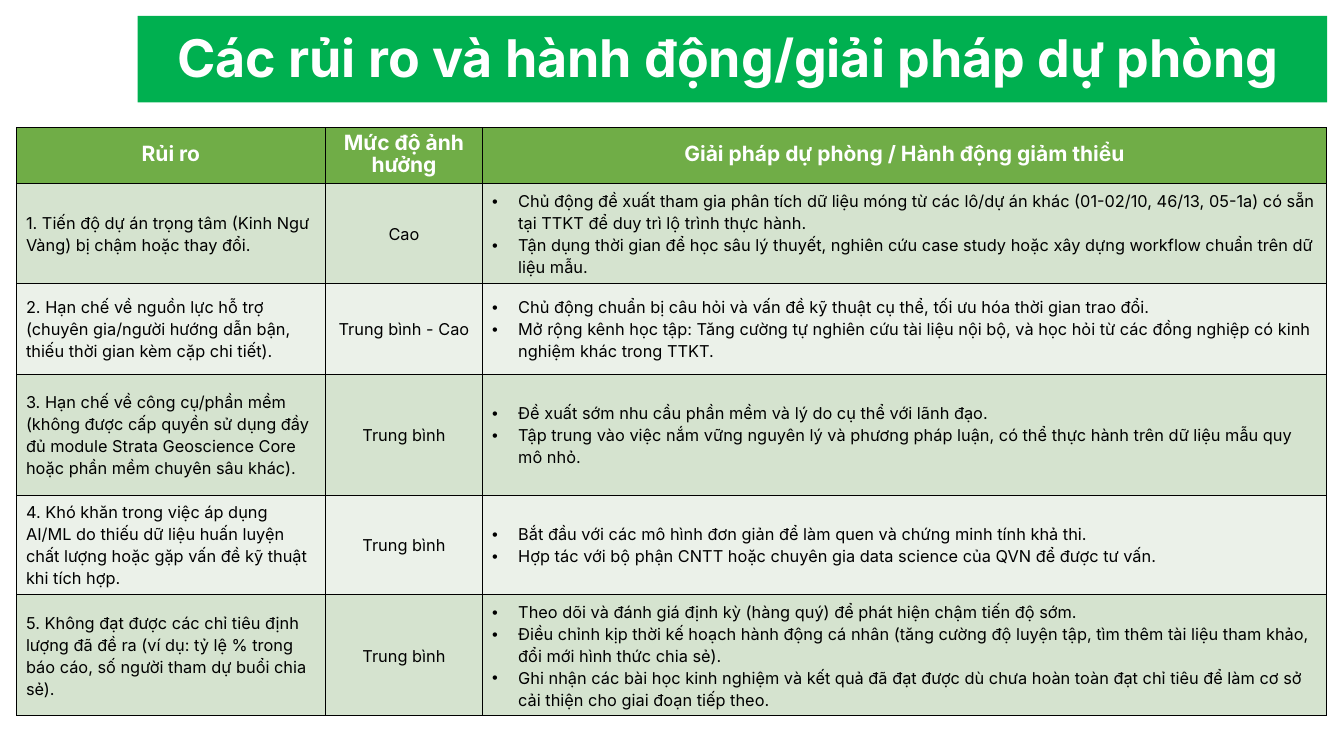
import dataclasses

import pptx
import pptx.dml.color
import pptx.enum.shapes
import pptx.enum.text
import pptx.oxml.ns
import pptx.util
from lxml import etree

Inches = pptx.util.Inches
Pt = pptx.util.Pt
ALIGN = pptx.enum.text.PP_ALIGN
ANCHOR = pptx.enum.text.MSO_ANCHOR
qn = pptx.oxml.ns.qn


@dataclasses.dataclass(frozen=True)
class Theme:
    font: str = "Inter"
    white: str = "FFFFFF"
    black: str = "000000"
    banner: str = "00B050"
    header: str = "70AD47"
    bands: tuple = ("D5E3CF", "EBF1E9")
    title_size: float = 44.5
    title_line: float = 55.5
    header_size: float = 18
    body_size: float = 14
    body_line: float = 18.8


TITLE = "Các rủi ro và hành động/giải pháp dự phòng"
HEADERS = ["Rủi ro", "Mức độ ảnh hưởng", "Giải pháp dự phòng / Hành động giảm thiểu"]
COLUMN_WIDTHS = [3.67, 1.88, 10.04]
ROW_HEIGHTS = [0.67, 1.18, 1.08, 1.44, 1.18, 1.44]
RISKS = [
    ("1. Tiến độ dự án trọng tâm (Kinh Ngư Vàng) bị chậm hoặc thay đổi.",
     "Cao",
     ["Chủ động đề xuất tham gia phân tích dữ liệu móng từ các lô/dự án khác "
      "(01-02/10, 46/13, 05-1a) có sẵn tại TTKT để duy trì lộ trình thực hành.",
      "Tận dụng thời gian để học sâu lý thuyết, nghiên cứu case study hoặc "
      "xây dựng workflow chuẩn trên dữ liệu mẫu."]),
    ("2. Hạn chế về nguồn lực hỗ trợ (chuyên gia/người hướng dẫn bận, "
     "thiếu thời gian kèm cặp chi tiết).",
     "Trung bình - Cao",
     ["Chủ động chuẩn bị câu hỏi và vấn đề kỹ thuật cụ thể, "
      "tối ưu hóa thời gian trao đổi.",
      "Mở rộng kênh học tập: Tăng cường tự nghiên cứu tài liệu nội bộ, "
      "và học hỏi từ các đồng nghiệp có kinh nghiệm khác trong TTKT."]),
    ("3. Hạn chế về công cụ/phần mềm (không được cấp quyền sử dụng đầy đủ "
     "module Strata Geoscience Core hoặc phần mềm chuyên sâu khác).",
     "Trung bình",
     ["Đề xuất sớm nhu cầu phần mềm và lý do cụ thể với lãnh đạo.",
      "Tập trung vào việc nắm vững nguyên lý và phương pháp luận, "
      "có thể thực hành trên dữ liệu mẫu quy mô nhỏ."]),
    ("4. Khó khăn trong việc áp dụng AI/ML do thiếu dữ liệu huấn luyện "
     "chất lượng hoặc gặp vấn đề kỹ thuật khi tích hợp.",
     "Trung bình",
     ["Bắt đầu với các mô hình đơn giản để làm quen và chứng minh tính khả thi.",
      "Hợp tác với bộ phận CNTT hoặc chuyên gia data science của QVN "
      "để được tư vấn."]),
    ("5. Không đạt được các chỉ tiêu định lượng đã đề ra (ví dụ: tỷ lệ % "
     "trong báo cáo, số người tham dự buổi chia sẻ).",
     "Trung bình",
     ["Theo dõi và đánh giá định kỳ (hàng quý) để phát hiện chậm tiến độ sớm.",
      "Điều chỉnh kịp thời kế hoạch hành động cá nhân (tăng cường độ luyện tập, "
      "tìm thêm tài liệu tham khảo, đổi mới hình thức chia sẻ).",
      "Ghi nhận các bài học kinh nghiệm và kết quả đã đạt được dù chưa "
      "hoàn toàn đạt chỉ tiêu để làm cơ sở cải thiện cho giai đoạn tiếp theo."]),
]


def rgb(color):
    return pptx.dml.color.RGBColor.from_string(color)


class Deck:
    def __init__(self, theme):
        self.theme = theme
        self.prs = pptx.Presentation()
        self.prs.slide_width, self.prs.slide_height = Inches(16), Inches(9)
        self.s = self.prs.slides.add_slide(self.prs.slide_layouts[5])

    def add_text(self, p, text, size, line, color, bold=False, align=ALIGN.LEFT):
        p.alignment = align
        p.line_spacing = Pt(line)
        p.space_before = p.space_after = Pt(0)
        r = p.add_run()
        r.text = text
        r.font.name, r.font.size, r.font.bold = self.theme.font, Pt(size), bold
        r.font.color.rgb = rgb(color)

    def bullet(self, p):
        pPr = p._p.get_or_add_pPr()
        pPr.set("marL", str(Inches(0.31)))
        pPr.set("indent", str(-Inches(0.31)))
        etree.SubElement(pPr, qn("a:buFont")).set("typeface", "Arial")
        etree.SubElement(pPr, qn("a:buChar")).set("char", "•")

    def title(self, text):
        """Place the title over its green band."""
        t = self.theme
        sp = self.s.shapes.title
        sp.left, sp.top = Inches(1.64), Inches(0.28)
        sp.width, sp.height = Inches(14.07), Inches(0.78)
        tf = sp.text_frame
        tf.auto_size = pptx.enum.text.MSO_AUTO_SIZE.NONE
        tf.word_wrap = False
        tf.vertical_anchor = ANCHOR.TOP
        tf.margin_left = tf.margin_right = tf.margin_top = tf.margin_bottom = 0
        self.add_text(tf.paragraphs[0], text, t.title_size, t.title_line, t.white,
                      True, ALIGN.CENTER)
        band = self.s.shapes.add_shape(
            pptx.enum.shapes.MSO_SHAPE.RECTANGLE,
            Inches(1.64), Inches(0.19), Inches(14.16), Inches(1.03))
        band.shadow.inherit = False
        band.fill.solid()
        band.fill.fore_color.rgb = rgb(t.banner)
        band.line.fill.background()
        sp._element.addprevious(band._element)

    def border(self, cell):
        tcPr = cell._tc.get_or_add_tcPr()
        for side in ("lnL", "lnR", "lnT", "lnB"):
            ln = etree.SubElement(tcPr, qn("a:" + side), w=str(Pt(1)))
            fill = etree.SubElement(ln, qn("a:solidFill"))
            etree.SubElement(fill, qn("a:srgbClr")).set("val", self.theme.black)

    def cell(self, cell, texts, fill, header=False, align=ALIGN.LEFT, bullets=False):
        t = self.theme
        self.border(cell)
        cell.fill.solid()
        cell.fill.fore_color.rgb = rgb(fill)
        cell.vertical_anchor = ANCHOR.MIDDLE
        cell.margin_left = Inches(0.11)
        cell.margin_right = Inches(0.1 if bullets else 0.11)
        cell.margin_top = cell.margin_bottom = Inches(0.07)
        tf = cell.text_frame
        size, color = (t.header_size, t.white) if header else (t.body_size, t.black)
        for i, text in enumerate(texts):
            p = tf.add_paragraph() if i else tf.paragraphs[0]
            self.add_text(p, text, size, t.body_line, color, header, align)
            if bullets:
                self.bullet(p)

    def risk_table(self, headers, risks):
        table = self.s.shapes.add_table(
            len(risks) + 1, len(headers), Inches(0.2), Inches(1.52),
            Inches(sum(COLUMN_WIDTHS)), Inches(sum(ROW_HEIGHTS))).table
        table.horz_banding = False
        for column, width in zip(table.columns, COLUMN_WIDTHS):
            column.width = Inches(width)
        for row, height in zip(table.rows, ROW_HEIGHTS):
            row.height = Inches(height)
        for c, text in enumerate(headers):
            self.cell(table.cell(0, c), [text], self.theme.header, True, ALIGN.CENTER)
        for i, (risk, level, actions) in enumerate(risks):
            fill = self.theme.bands[i % 2]
            self.cell(table.cell(i + 1, 0), [risk], fill)
            self.cell(table.cell(i + 1, 1), [level], fill, align=ALIGN.CENTER)
            self.cell(table.cell(i + 1, 2), actions, fill, bullets=True)


def main():
    deck = Deck(Theme())
    deck.title(TITLE)
    deck.risk_table(HEADERS, RISKS)
    deck.prs.save("out.pptx")


if __name__ == "__main__":
    main()
